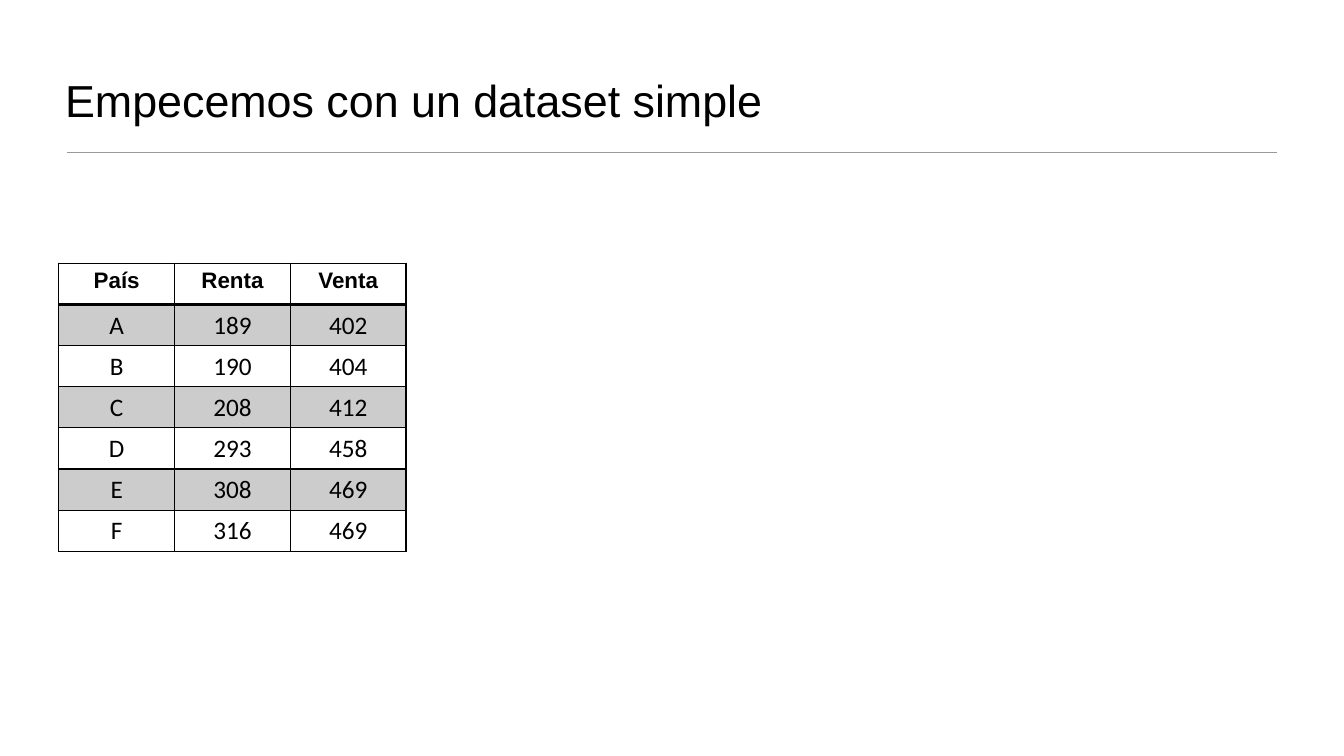
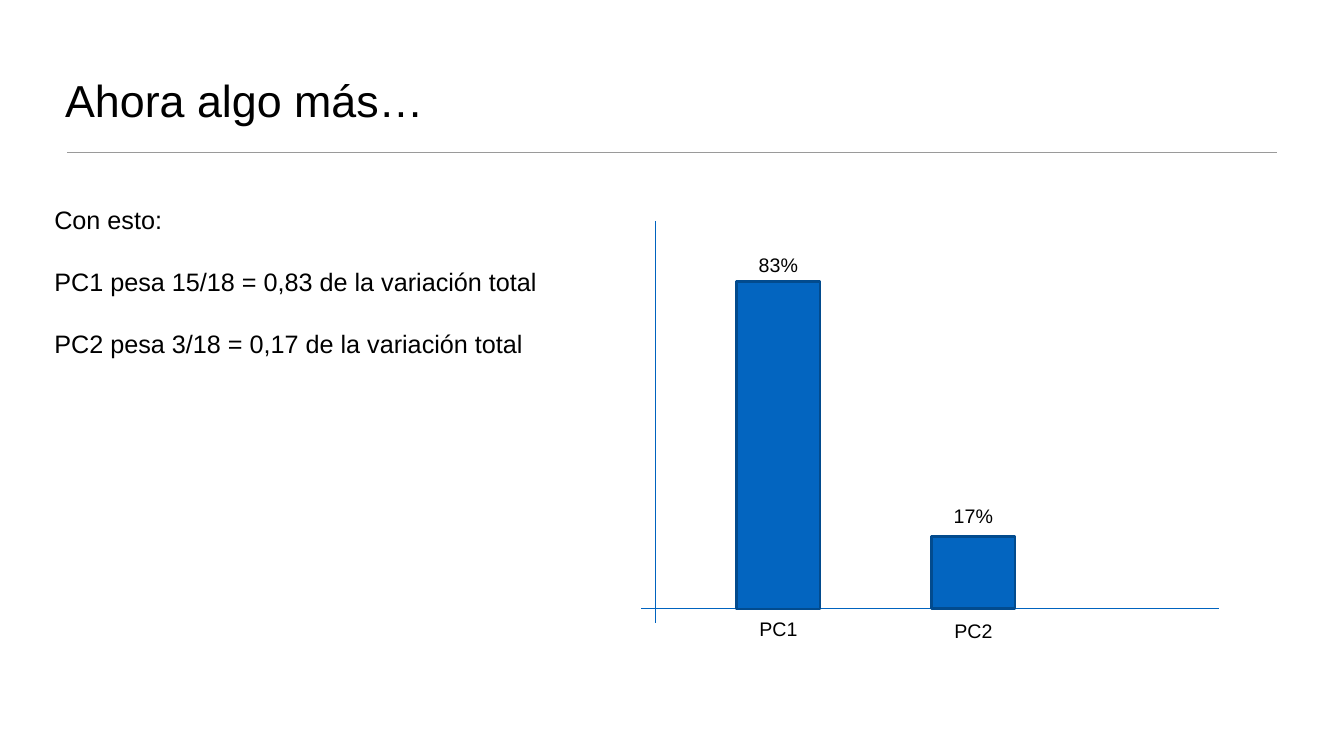
"""Build two slides on principal components: a small dataset and the explained variation."""
from lxml import etree
from pptx import Presentation
from pptx.dml.color import RGBColor
from pptx.enum import shapes, text
from pptx.oxml import parse_xml
from pptx.oxml.ns import nsdecls, qn
from pptx.util import Pt

BLACK = RGBColor(0x00, 0x00, 0x00)
RULE_GREY = RGBColor(0x9A, 0x9A, 0x9A)
BAND_GREY = RGBColor(0xCC, 0xCC, 0xCC)
AXIS_BLUE = RGBColor(0x00, 0x63, 0xBF)
BAR_BLUE = RGBColor(0x03, 0x65, 0xC0)
BAR_EDGE = RGBColor(0x02, 0x4B, 0x8E)
CENTER = text.PP_ALIGN.CENTER
MIDDLE = text.MSO_ANCHOR.MIDDLE


def add_line(slide, x1, y1, x2, y2, color, width):
    line = slide.shapes.add_connector(
        shapes.MSO_CONNECTOR.STRAIGHT, Pt(x1), Pt(y1), Pt(x2), Pt(y2))
    line.line.color.rgb = color
    line.line.width = Pt(width)
    etree.SubElement(line._element.spPr, qn("a:effectLst"))


def add_text(slide, left, top, width, height, content, size, align=None, gap=0):
    frame = slide.shapes.add_textbox(Pt(left), Pt(top), Pt(width), Pt(height)).text_frame
    frame.word_wrap = True
    frame.text = content
    for index, paragraph in enumerate(frame.paragraphs):
        paragraph.alignment = align
        if index:
            paragraph.space_before = Pt(gap)
        for run in paragraph.runs:
            run.font.name = "Arial"
            run.font.size = Pt(size)
            run.font.color.rgb = BLACK
    return frame


prs = Presentation()
prs.slide_width, prs.slide_height = Pt(960), Pt(540)

slides = []
for heading in ("Empecemos con un dataset simple", "Ahora algo más…"):
    slide = prs.slides.add_slide(prs.slide_layouts[6])
    add_line(slide, 48, 109, 912, 109, RULE_GREY, 1)
    title = add_text(slide, 42, 18, 876, 77, heading, 32)
    title.vertical_anchor = text.MSO_ANCHOR.BOTTOM
    title.margin_left = title.margin_right = Pt(4.5)
    title.margin_top = title.margin_bottom = Pt(4.5)
    slides.append(slide)
dataset_slide, variation_slide = slides

dataset = [
    ("País", "Renta", "Venta"),
    ("A", "189", "402"),
    ("B", "190", "404"),
    ("C", "208", "412"),
    ("D", "293", "458"),
    ("E", "308", "469"),
    ("F", "316", "469"),
]
column_width, row_height = 82.7, 29.4
table = dataset_slide.shapes.add_table(
    len(dataset), 3, Pt(42), Pt(188), Pt(3 * column_width), Pt(len(dataset) * row_height)).table
table.first_row = table.horz_banding = False
for column in table.columns:
    column.width = Pt(column_width)
for r, values in enumerate(dataset):
    table.rows[r].height = Pt(row_height)
    for c, value in enumerate(values):
        cell = table.cell(r, c)
        cell.text = value
        if r:
            cell.vertical_anchor = MIDDLE
            cell.margin_left = cell.margin_right = cell.margin_top = Pt(0.75)
            cell.margin_bottom = 0
        properties = cell._tc.get_or_add_tcPr()
        for side in "LRTB":
            under_header = (r, side) in ((0, "B"), (1, "T"))
            properties.append(parse_xml(
                f'<a:ln{side} {nsdecls("a")} w="{Pt(2 if under_header else 1)}">'
                f'<a:solidFill><a:srgbClr val="{BLACK}"/></a:solidFill></a:ln{side}>'))
        if r % 2:
            cell.fill.solid()
            cell.fill.fore_color.rgb = BAND_GREY
        else:
            cell.fill.background()
        paragraph = cell.text_frame.paragraphs[0]
        paragraph.alignment = CENTER
        font = paragraph.runs[0].font
        font.name = "Calibri" if r else "Arial"
        font.size = Pt(18 if r else 16)
        font.bold = r == 0
        font.color.rgb = BLACK

findings = "\n".join((
    "Con esto:",
    "PC1 pesa 15/18 = 0,83 de la variación total",
    "PC2 pesa 3/18 = 0,17 de la variación total",
))
add_text(variation_slide, 31.7, 142.6, 411, 138, findings, 18, gap=22.5)

baseline = 435
add_line(variation_slide, 468, 157.7, 468, 445, AXIS_BLUE, 0.75)
add_line(variation_slide, 458, baseline, 871, baseline, AXIS_BLUE, 0.75)

bar_width, label_width = 59.5, 60
for component, share, center, bar_height, share_top, name_top in (
        ("PC1", "83%", 556, 234, 177.3, 437.2),
        ("PC2", "17%", 695.3, 52, 356.6, 438.6)):
    bar = variation_slide.shapes.add_shape(
        shapes.MSO_SHAPE.RECTANGLE, Pt(center - bar_width / 2), Pt(baseline - bar_height),
        Pt(bar_width), Pt(bar_height))
    bar.shadow.inherit = False
    bar.fill.solid()
    bar.fill.fore_color.rgb = BAR_BLUE
    bar.line.color.rgb = BAR_EDGE
    bar.line.width = Pt(2)
    for label, top in ((share, share_top), (component, name_top)):
        add_text(variation_slide, center - label_width / 2, top, label_width, 24, label, 14, CENTER)

prs.save("out.pptx")
